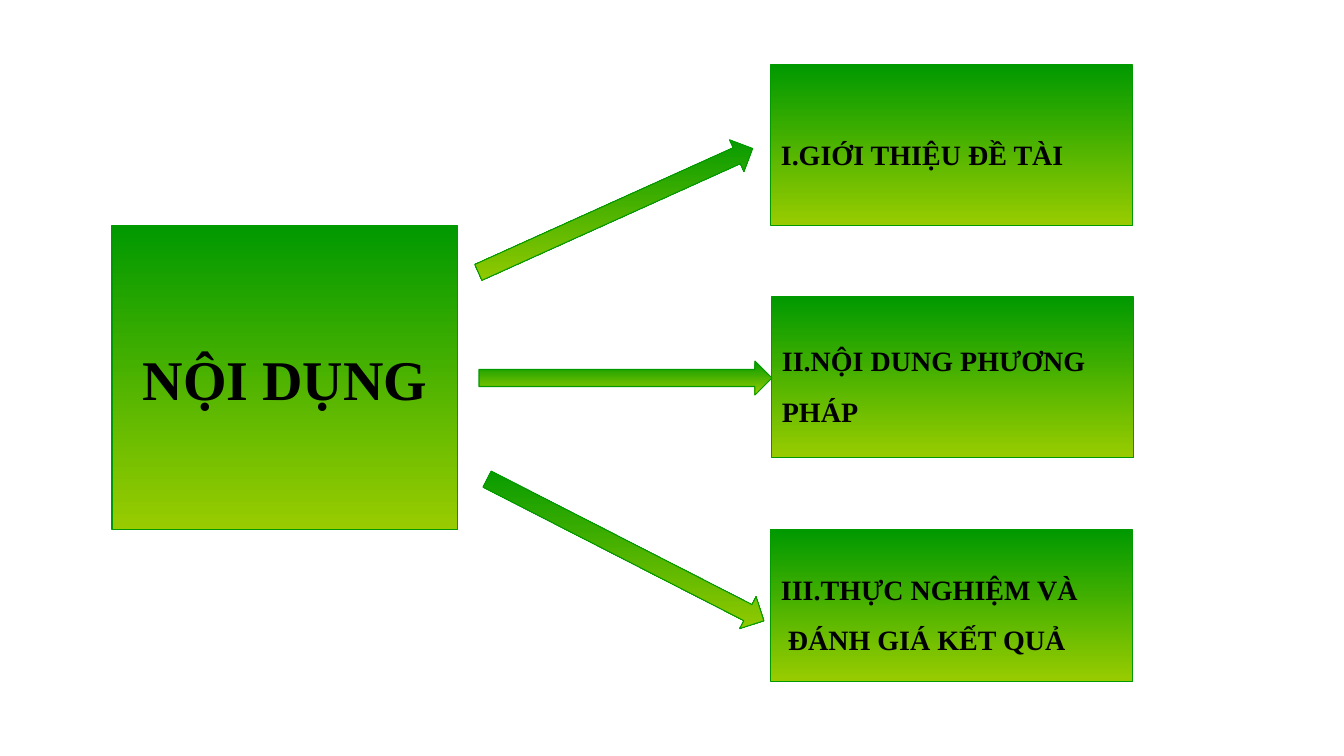
from pptx import Presentation
from pptx.dml.color import RGBColor
from pptx.enum.shapes import MSO_SHAPE
from pptx.enum.text import MSO_ANCHOR, PP_ALIGN
from pptx.util import Pt

RECT, ARROW = MSO_SHAPE.RECTANGLE, MSO_SHAPE.RIGHT_ARROW
CENTER, JUSTIFY = PP_ALIGN.CENTER, PP_ALIGN.JUSTIFY
MIDDLE = MSO_ANCHOR.MIDDLE

# Content: (left, top, width, height) in px, then text lines or rotation
TITLE = ((112, 226, 346, 304), ["NỘI DỤNG"])
SECTIONS = [
    ((771, 65, 362, 161), ["I.GIỚI THIỆU ĐỀ TÀI"]),
    ((772, 297, 362, 161), ["II.NỘI DUNG PHƯƠNG ", "PHÁP"]),
    ((771, 530, 362, 152), ["III.THỰC NGHIỆM VÀ", " ĐÁNH GIÁ KẾT QUẢ"]),
]
ARROWS = [
    ((465, 193, 301, 35), 335.7),
    ((479, 361, 293, 34), 0),
    ((470, 532, 311, 36), 27.1),
]

THEME = {
    "top": RGBColor(0x00, 0x99, 0x00),
    "bottom": RGBColor(0x99, 0xCC, 0x00),
    "text": RGBColor(0, 0, 0),
    "font": "Times New Roman",
    "title_size": Pt(40),
    "section_size": Pt(20),
    "line": Pt(0.75),
}
PX = 914400 / 100.8


def px(n):
    return round(n * PX)


def add_green(s, kind, box):
    """Add a shape with the green vertical gradient and outline."""
    sp = s.shapes.add_shape(kind, *map(px, box))
    sp.shadow.inherit = False
    sp.fill.gradient()
    sp.fill.gradient_angle = 270
    for stop, position, key in zip(sp.fill.gradient_stops, (0, 1), ("top", "bottom")):
        stop.position = position
        stop.color.rgb = THEME[key]
    # Keep the gradient upright when the shape is turned
    sp.element.spPr.find("{*}gradFill").set("rotWithShape", "0")
    sp.line.color.rgb = THEME["top"]
    sp.line.width = THEME["line"]
    return sp


def add_box(s, box, lines, size, para_format):
    tf = add_green(s, RECT, box).text_frame
    tf.word_wrap = False
    tf.vertical_anchor = MIDDLE
    font_format = {"name": THEME["font"], "size": THEME[size], "bold": True}
    for i, line in enumerate(lines):
        p = tf.add_paragraph() if i else tf.paragraphs[0]
        for name, value in para_format.items():
            setattr(p, name, value)
        r = p.add_run()
        r.text = line
        for name, value in font_format.items():
            setattr(r.font, name, value)
        r.font.color.rgb = THEME["text"]


def main():
    prs = Presentation()
    prs.slide_width, prs.slide_height = px(1344), px(756)
    s = prs.slides.add_slide(prs.slide_layouts[6])

    # Section boxes and the main box
    for box, lines in SECTIONS:
        add_box(s, box, lines, "section_size", {"alignment": JUSTIFY, "line_spacing": 1.5})
    add_box(s, *TITLE, "title_size", {"alignment": CENTER})

    # Arrows from the main box to the sections
    for box, angle in ARROWS:
        add_green(s, ARROW, box).rotation = angle

    prs.save("out.pptx")


if __name__ == "__main__":
    main()
